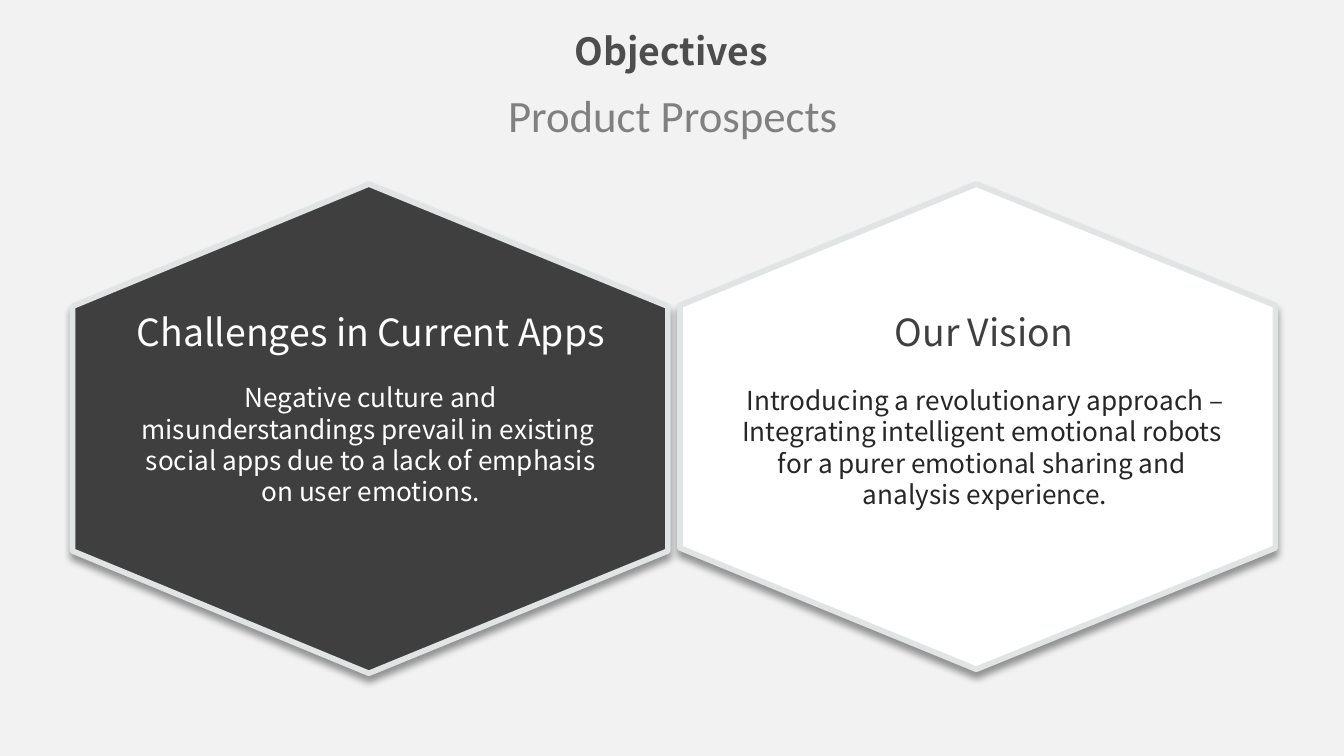
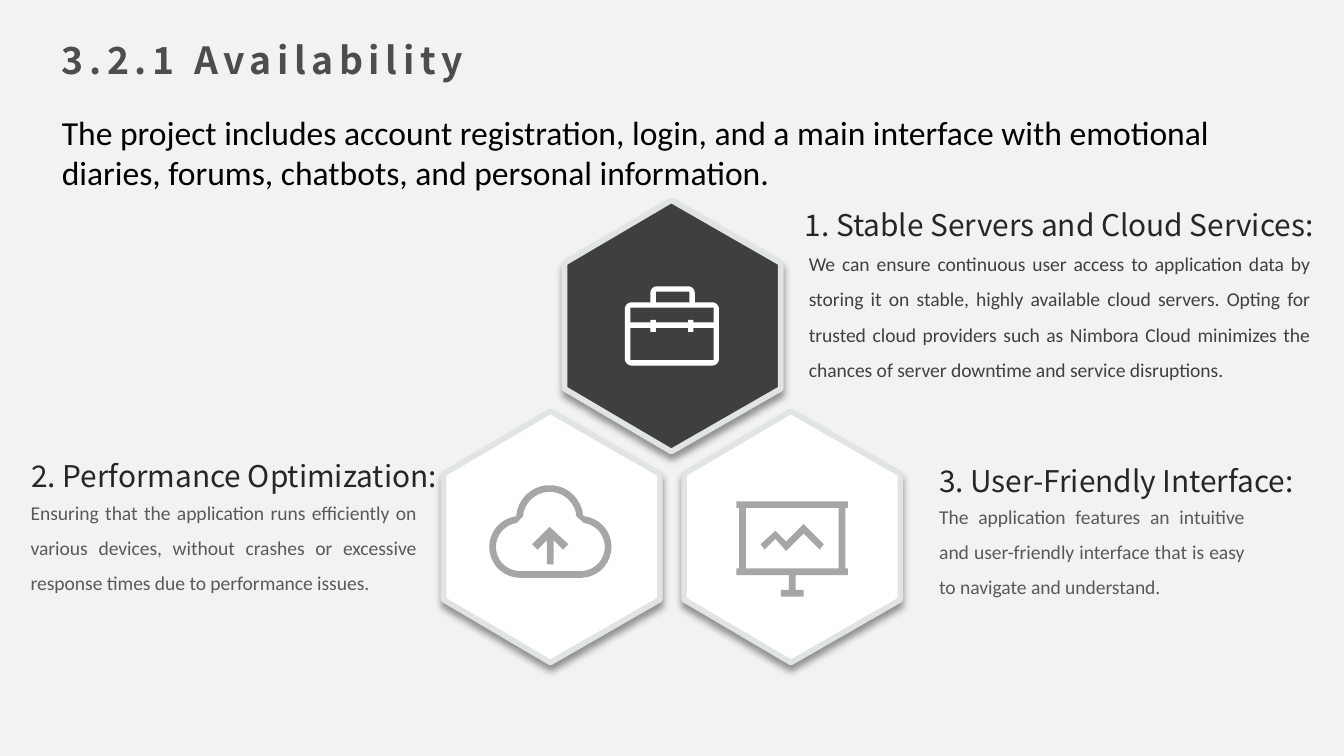
import math
import pptx
import pptx.util
import pptx.dml.color
import pptx.enum.text
import pptx.oxml
import pptx.oxml.ns

Inches = pptx.util.Inches
RGBColor = pptx.dml.color.RGBColor
ALIGN = pptx.enum.text.PP_ALIGN

# Colours and fonts
PAPER = RGBColor(0xF2, 0xF2, 0xF2)
DARK = RGBColor(0x3F, 0x3F, 0x3F)
WHITE = RGBColor(0xFF, 0xFF, 0xFF)
EDGE = RGBColor(0xE1, 0xE4, 0xE5)
ICON = RGBColor(0xA6, 0xA6, 0xA6)
HEAD = RGBColor(0x4D, 0x4D, 0x4D)
SUB = RGBColor(0x80, 0x80, 0x80)
INK = RGBColor(0x26, 0x26, 0x26)
NOTE = RGBColor(0x59, 0x59, 0x59)
DEEP = RGBColor(0x40, 0x40, 0x40)
BLACK = RGBColor(0, 0, 0)
SANS = "Noto Sans CJK SC"
PLAIN = "Calibri"

# Text formats
TITLE = {"name": SANS, "size": pptx.util.Pt(20), "bold": True}
LABEL = {"name": SANS, "size": pptx.util.Pt(20)}
TEXT = {"name": SANS, "size": pptx.util.Pt(14)}
POINT = {"name": SANS, "size": pptx.util.Pt(16)}
SMALL = {"name": PLAIN, "size": pptx.util.Pt(10.5)}
SUBHEAD = {"name": PLAIN, "size": pptx.util.Pt(24)}
INTRO = {"name": PLAIN, "size": pptx.util.Pt(18)}
LEFT = {"alignment": ALIGN.LEFT, "space_before": 0}
MID = {"alignment": ALIGN.CENTER, "space_before": 0}
RIGHT = {"alignment": ALIGN.RIGHT, "space_before": 0}
FULL = {"alignment": ALIGN.JUSTIFY, "space_before": 0, "line_spacing": 1.5}

SHADOW = (
    '<a:outerShdw %s blurRad="50800" dist="38100" dir="5400000" algn="t" rotWithShape="0">'
    '<a:srgbClr val="000000"><a:alpha val="40000"/></a:srgbClr></a:outerShdw>'
    % pptx.oxml.ns.nsdecls("a"))


def write(box, at, lines, look, color, para):
    """Place a box and fill it, one paragraph for each line."""
    box.left, box.top, box.width, box.height = [Inches(v) for v in at]
    frame = box.text_frame
    frame.word_wrap = True
    frame.auto_size = pptx.enum.text.MSO_AUTO_SIZE.NONE
    frame.vertical_anchor = pptx.enum.text.MSO_ANCHOR.TOP
    frame.text = "\n".join(lines)
    for item in frame.paragraphs:
        if box.is_placeholder:
            props = item._p.get_or_add_pPr()
            props.set("marL", "0")
            props.set("indent", "0")
            props.append(pptx.oxml.parse_xml("<a:buNone %s/>" % pptx.oxml.ns.nsdecls("a")))
        for key, value in para.items():
            setattr(item, key, value)
        font = item.runs[0].font
        for key, value in look.items():
            setattr(font, key, value)
        font.color.rgb = color
    return box


def draw(slide, paths, fill):
    """Draw closed paths of points (x, y) and arcs (x, y, radius, from, to)."""
    pen = None
    for path in paths:
        dots = []
        for x, y, *arc in path:
            if arc:
                r, start, end = arc
                count = max(4, round((end - start) / 10))
                turns = [math.radians(start + (end - start) * i / count)
                         for i in range(count + 1)]
                dots += [(x + r * math.cos(t), y + r * math.sin(t)) for t in turns]
            else:
                dots.append((x, y))
        dots = [(Inches(x), Inches(y)) for x, y in dots]
        if pen is None:
            pen = slide.shapes.build_freeform(*dots[0], scale=1.0)
        else:
            pen.move_to(*dots[0])
        pen.add_line_segments(dots[1:], close=True)
    shape = pen.convert_to_shape()
    shape.shadow.inherit = False
    shape.fill.solid()
    shape.fill.fore_color.rgb = fill
    shape.line.fill.background()
    return shape


# Deck, 16 to 9, and shared background
deck = pptx.Presentation()
deck.slide_width = Inches(10)
deck.slide_height = Inches(10) * 9 // 16
back = deck.slide_master.background.fill
back.solid()
back.fore_color.rgb = PAPER

# Titles, lead lines and hexagons of both slides
pages = [
    (("Objectives", (3.41, 0.16, 3.17, 0.44)),
     ("Product Prospects", (3.17, 0.6, 3.67, 0.72), SUBHEAD, SUB), MID,
     [(0.54, 1.37, 4.43, 3.64, DARK), (5.06, 1.37, 4.43, 3.61, WHITE)]),
    (("3.2.1 Availability", (0.36, 0.23, 4.04, 0.44)),
     ("The project includes account registration, login, and a main interface with "
      "emotional diaries, forums, chatbots, and personal information.",
      (0.36, 0.78, 9.29, 0.71), INTRO, BLACK), LEFT,
     [(4.2, 1.49, 1.61, 1.87, DARK), (3.3, 3.06, 1.61, 1.87, WHITE),
      (5.09, 3.06, 1.61, 1.87, WHITE)]),
]
slides = []
for (name, spot), (lead, place, look, color), para, cells in pages:
    slide = deck.slides.add_slide(deck.slide_layouts[1])
    slides.append(slide)
    write(slide.shapes.title, spot, [name], TITLE, HEAD, para)
    write(slide.placeholders[1], place, [lead], look, color, para)
    for x, y, w, h, fill in cells:
        top, low, peak = y + h / 4, y + h * 3 / 4, x + w / 2 - 0.01
        cell = draw(slide, [[(x + w, low), (x + w, top), (peak, y),
                             (x, top), (x, low), (peak, y + h)]], fill)
        cell.line.color.rgb = EDGE
        cell.line.width = pptx.util.Pt(3)
        glow = cell._element.spPr.find(pptx.oxml.ns.qn("a:effectLst"))
        glow.append(pptx.oxml.parse_xml(SHADOW))
first, second = slides

# Wide letter spacing in the second title
run = second.shapes.title.text_frame.paragraphs[0].runs[0]
run._r.get_or_add_rPr().set("spc", "300")

# Slide 1: text in the right hexagon
vision = write(
    first.shapes.add_textbox(0, 0, 0, 0), (5.47, 2.81, 3.72, 1.87),
    [" Introducing a revolutionary approach – ",
     "Integrating intelligent emotional robots ",
     "for a purer emotional sharing and ",
     "analysis experience."], TEXT, INK, MID)
vision.text_frame.word_wrap = False

# Other text boxes of both slides
notes = [
    (first, (0.9, 2.79, 3.72, 1.04),
     ["Negative culture and misunderstandings prevail in existing ",
      "social apps due to a lack of emphasis on user emotions."], TEXT, WHITE, MID),
    (first, (-0.32, 2.25, 6.16, 0.44), ["Challenges in Current Apps"], LABEL, WHITE, MID),
    (first, (5.93, 2.25, 2.78, 0.44), ["Our Vision"], LABEL, DARK, MID),
    (second, (5.89, 1.49, 4.21, 0.37),
     ["1. Stable Servers and Cloud Services:"], POINT, INK, LEFT),
    (second, (5.92, 1.74, 3.93, 1.13),
     ["We can ensure continuous user access to application data by storing it on "
      "stable, highly available cloud servers. Opting for trusted cloud providers "
      "such as Nimbora Cloud minimizes the chances of server downtime and service "
      "disruptions."], SMALL, DEEP, FULL),
    (second, (6.89, 3.39, 2.96, 0.37), ["3. User-Friendly Interface:"], POINT, INK, LEFT),
    (second, (6.89, 3.62, 2.47, 0.87),
     ["The application features an intuitive and user-friendly interface that is "
      "easy to navigate and understand."], SMALL, NOTE, FULL),
    (second, (-0.02, 3.36, 3.42, 0.37),
     ["2. Performance Optimization: "], POINT, INK, RIGHT),
    (second, (0.13, 3.59, 3.07, 0.87),
     ["Ensuring that the application runs efficiently on various devices, without "
      "crashes or excessive response times due to performance issues."],
     SMALL, NOTE, FULL),
]
for slide, at, lines, look, color, para in notes:
    write(slide.shapes.add_textbox(0, 0, 0, 0), at, lines, look, color, para)

# Slide 2: briefcase
case = [(4.84, 2.25), (4.89, 2.18, 0.05, 180, 270), (5.12, 2.18, 0.05, 270, 360),
        (5.17, 2.25), (5.3, 2.3, 0.05, 270, 360), (5.3, 2.67, 0.05, 0, 90),
        (4.7, 2.67, 0.05, 90, 180), (4.7, 2.3, 0.05, 180, 270)]
grip = [(4.88, 2.17), (5.13, 2.17), (5.13, 2.25), (4.88, 2.25)]
halves = [[(4.69, edge), (5.31, edge), (5.31, seam), (5.16, seam), (5.16, clip),
           (5.12, clip), (5.12, seam), (4.88, seam), (4.88, clip), (4.84, clip),
           (4.84, seam), (4.69, seam)]
          for edge, seam, clip in [(2.29, 2.4, 2.38), (2.68, 2.44, 2.47)]]
draw(second, [case, grip] + halves, WHITE)

# Slide 2: board with a trend line
draw(second, [[(5.98, 3.9), (5.85, 4.03), (5.77, 3.95), (5.66, 4.05), (5.69, 4.09),
               (5.77, 4.01), (5.85, 4.1), (5.98, 3.97), (6.1, 4.09), (6.13, 4.05)]], ICON)
board = [(6.31, 3.78), (6.31, 3.73), (5.48, 3.73), (5.48, 3.78), (5.5, 3.78),
         (5.5, 4.23), (5.48, 4.23), (5.48, 4.28), (5.87, 4.28), (5.87, 4.39),
         (5.81, 4.39), (5.81, 4.44), (5.98, 4.44), (5.98, 4.39), (5.92, 4.39),
         (5.92, 4.28), (6.31, 4.28), (6.31, 4.23), (6.29, 4.23), (6.29, 3.78)]
draw(second, [board, [(5.55, 4.23), (5.55, 3.78), (6.24, 3.78), (6.24, 4.23)]], ICON)

# Slide 2: cloud with an arrow
draw(second, [[(3.96, 4.05), (4, 4.09), (4.07, 4.02), (4.07, 4.2), (4.12, 4.2),
               (4.12, 4.02), (4.19, 4.09), (4.23, 4.05), (4.09, 3.92)]], ICON)
draw(second, [[(3.87, 4.07, 0.23 - gap, 90, 262), (4.09, 3.86, 0.25 - gap, 185, 355),
               (4.32, 4.07, 0.23 - gap, 278, 450)] for gap in (0, 0.05)], ICON)

deck.save("out.pptx")
